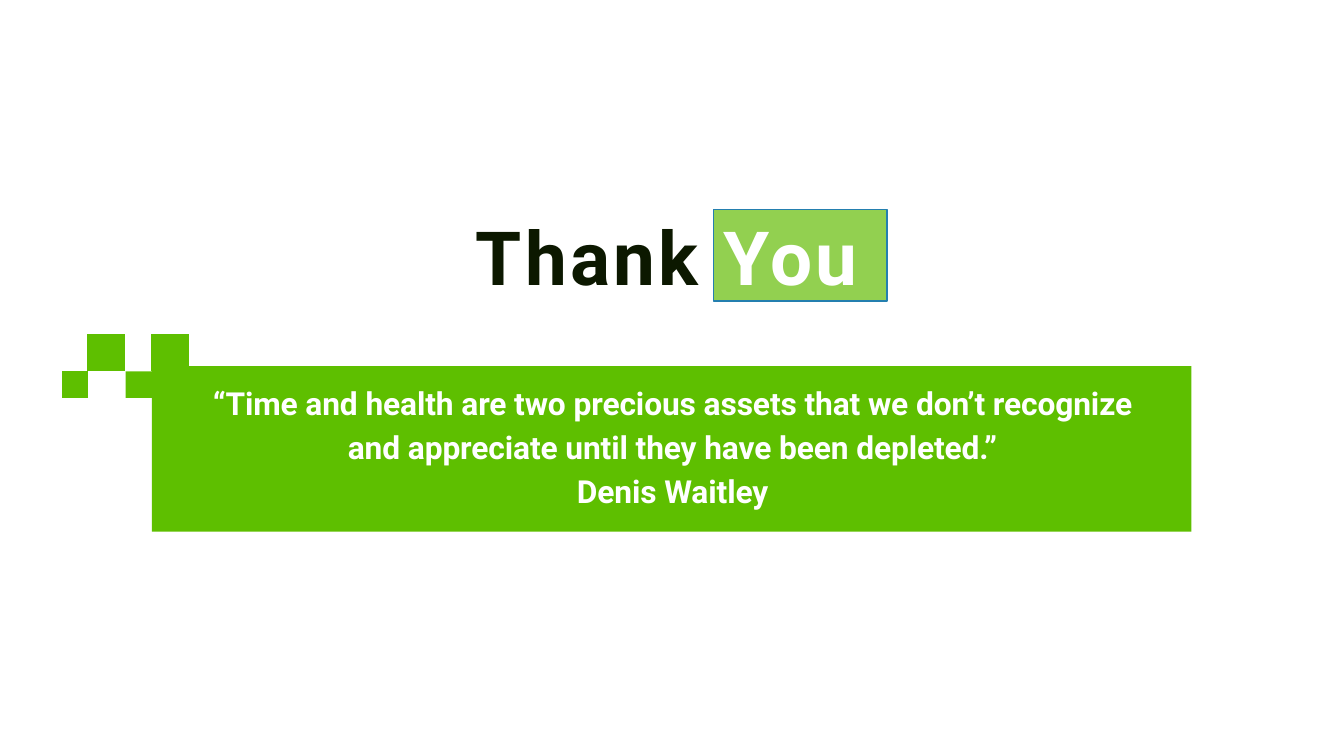
from pptx import Presentation
from pptx.dml.color import RGBColor
from pptx.enum.shapes import MSO_SHAPE
from pptx.enum.text import MSO_ANCHOR, MSO_AUTO_SIZE, PP_ALIGN
from pptx.util import Pt

GREEN = "5EBF00"
LIGHT_GREEN = "92D050"
BLUE = "247FAF"
DARK = "0C1800"
WHITE = "FFFFFF"
FONT = "Roboto"


def color(value):
    return RGBColor.from_string(value)


def set_fill(shape, value):
    shape.shadow.inherit = False
    shape.fill.solid()
    shape.fill.fore_color.rgb = color(value)


def format_frame(frame):
    values = {
        "margin_left": Pt(0.9), "margin_top": Pt(0.7),
        "margin_right": 0, "margin_bottom": 0,
        "word_wrap": True, "vertical_anchor": MSO_ANCHOR.TOP,
        "auto_size": MSO_AUTO_SIZE.SHAPE_TO_FIT_TEXT,
    }
    for name, value in values.items():
        setattr(frame, name, value)


def place(shape, box):
    for name, value in zip(("left", "top", "width", "height"), box):
        setattr(shape, name, Pt(value))


def add_run(paragraph, text, size, text_color, spacing):
    run = paragraph.add_run()
    run.text = text
    for name, value in {"name": FONT, "size": Pt(size), "bold": True}.items():
        setattr(run.font, name, value)
    run.font.color.rgb = color(text_color)
    run.font._element.set("spc", str(round(spacing * 100)))


def add_outline(slide, points):
    builder = slide.shapes.build_freeform(Pt(points[0][0]), Pt(points[0][1]))
    builder.add_line_segments([(Pt(x), Pt(y)) for x, y in points[1:]], close=True)
    shape = builder.convert_to_shape()
    set_fill(shape, GREEN)
    shape.line.fill.background()


def add_pixels(slide, box):
    left, top, width, height = box
    large, small = 41.2, 28.4
    squares = [
        (left + 26.6, top, large, height - small),
        (left + width - large, top, large, height - small),
        (left, top + height - small, small, small),
    ]
    for x, y, across, down in squares:
        add_outline(slide, [(x, y), (x + across, y), (x + across, y + down), (x, y + down)])


def add_quote(slide, box):
    left, top, width, height = box
    right, bottom = left + width, top + height
    body_left = left + 28.2
    tab_top, tab_bottom = top + 5.6, top + 34
    add_outline(slide, [
        (right, top), (body_left, top), (body_left, tab_top), (left, tab_top),
        (left, tab_bottom), (body_left, tab_bottom), (body_left, bottom), (right, bottom),
    ])

    text_box = slide.shapes.add_textbox(0, 0, 0, 0)
    format_frame(text_box.text_frame)
    place(text_box, (left + 86.4, top + 11.5, 998.6, 144))
    quote = text_box.text_frame.paragraphs[0]
    author = text_box.text_frame.add_paragraph()
    lines = [
        (quote, "“Time and health are two precious assets that we don’t recognize "
                "and appreciate until they have been depleted.”", 1),
        (author, "Denis Waitley", 6.5),
    ]
    for paragraph, text, space in lines:
        paragraph.alignment = PP_ALIGN.CENTER
        paragraph.space_before = Pt(space)
        add_run(paragraph, text, 34, WHITE, -0.1)
    quote.line_spacing = 1.16


def add_title(slide, box):
    left, top, width, height = box
    highlight = slide.shapes.add_shape(MSO_SHAPE.RECTANGLE, 0, 0, 0, 0)
    place(highlight, (left + 255.6, top - 0.7, 185.8, height))
    set_fill(highlight, LIGHT_GREEN)
    highlight.line.color.rgb = color(BLUE)
    highlight.line.width = Pt(1.25)

    title = slide.shapes.title
    slide.shapes.element.append(title.element)
    place(title, box)
    format_frame(title.text_frame)
    paragraph = title.text_frame.paragraphs[0]
    paragraph.alignment = PP_ALIGN.LEFT
    paragraph.space_before = Pt(1)
    add_run(paragraph, "Thank ", 80, DARK, 3.5)
    add_run(paragraph, "You", 80, WHITE, 2.9)


def main():
    presentation = Presentation()
    presentation.slide_width = Pt(1440)
    presentation.slide_height = Pt(810)
    slide = presentation.slides.add_slide(presentation.slide_layouts[5])
    add_pixels(slide, (66.2, 357.8, 136.6, 68.6))
    add_quote(slide, (134.6, 392.4, 1142, 177.1))
    add_title(slide, (509, 225.4, 437.8, 97.9))
    presentation.save("out.pptx")


if __name__ == "__main__":
    main()
